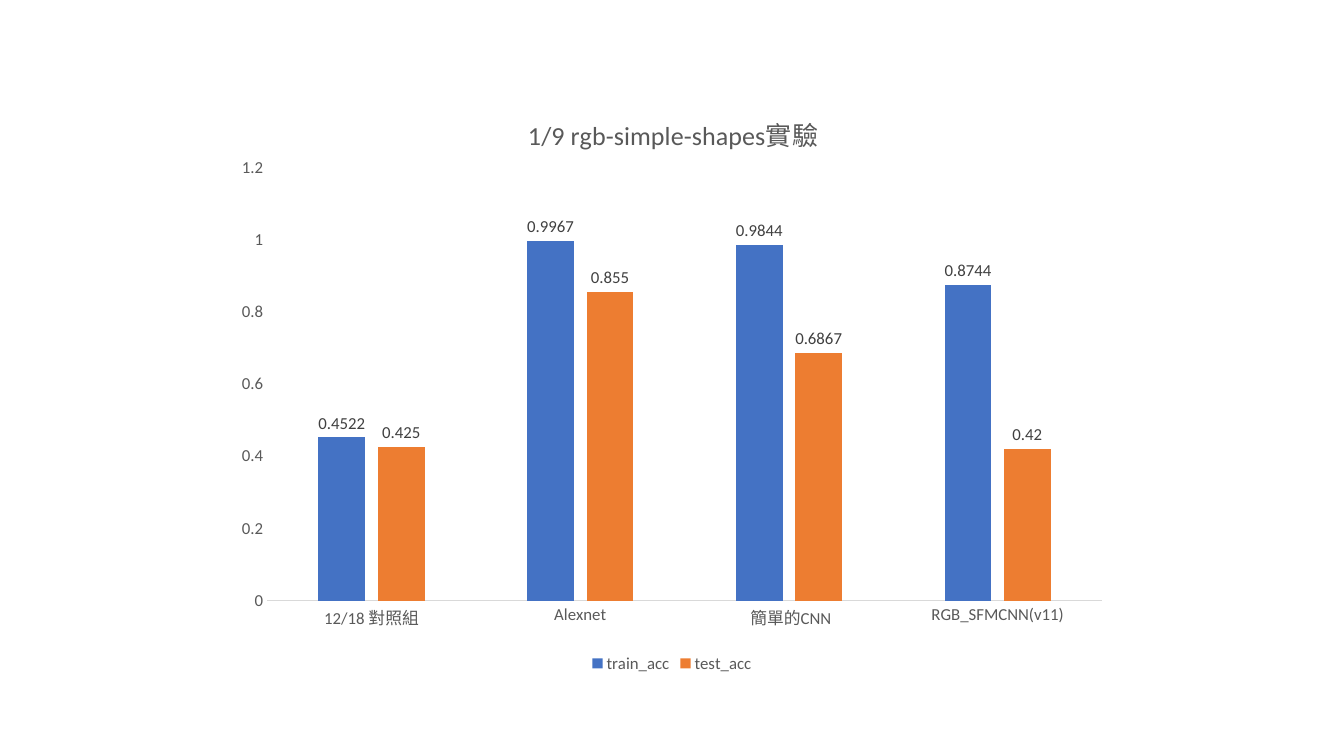
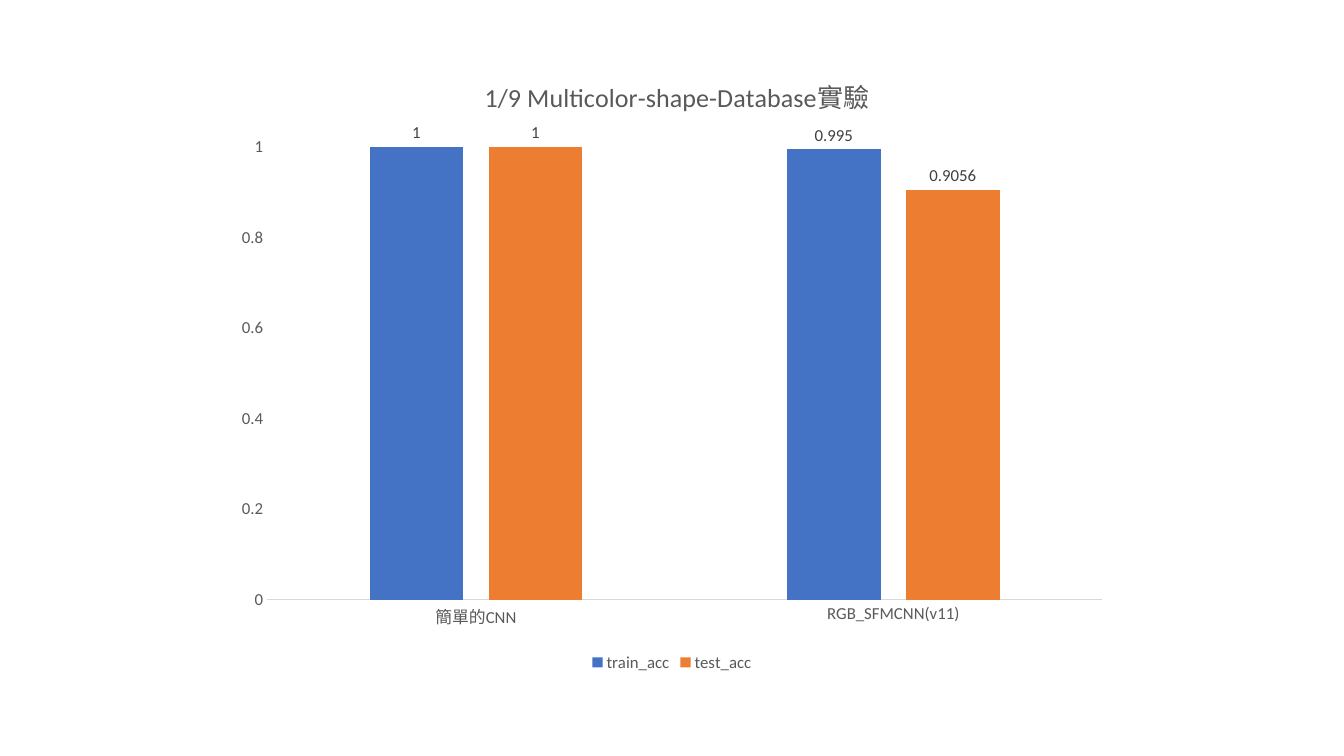
import pptx
import pptx.chart.data
import pptx.dml.color
import pptx.enum.chart
import pptx.oxml
import pptx.util
from pptx.oxml.ns import nsdecls

Inches = pptx.util.Inches
Pt = pptx.util.Pt
RGBColor = pptx.dml.color.RGBColor
enum = pptx.enum.chart

BLUE = RGBColor(0x44, 0x72, 0xC4)
ORANGE = RGBColor(0xED, 0x7D, 0x31)
GREY = RGBColor(0x59, 0x59, 0x59)
DARK = RGBColor(0x40, 0x40, 0x40)
PALE = RGBColor(0xD9, 0xD9, 0xD9)
FACE = "Calibri"

SLIDES = [
    {
        "title": "1/9 rgb-simple-shapes實驗",
        "box": (2.22, 0.79, 8.89, 5.93),
        "head": (2.97, 0.27),
        "plot": (0.43, 0.87, 8.28, 4.3),
        "top": None,
        "cats": ["12/18 對照組", "Alexnet", " 簡單的CNN", "RGB_SFMCNN(v11)"],
        "train": [0.4522, 0.9967, 0.9844, 0.8744],
        "test": [0.425, 0.855, 0.6867, 0.42],
    },
    {
        "title": "1/9 Multicolor-shape-Database實驗",
        "box": (2.22, 0.58, 8.89, 6.13),
        "head": (2.54, 0.11),
        "plot": (0.43, 0.79, 8.28, 4.58),
        "top": 1.02,
        "cats": ["簡單的CNN", "RGB_SFMCNN(v11)"],
        "train": [1, 0.995],
        "test": [1, 0.9056],
    },
]


def style(font, size=12, color=GREY):
    font.name = FACE
    font.size = Pt(size)
    font.bold = False
    font.color.rgb = color


def place(item, spot, box, inner=False):
    for old in item.findall(pptx.oxml.ns.qn("c:layout")):
        item.remove(old)
    target = '<c:layoutTarget val="inner"/>' if inner else ""
    modes = "".join(f'<c:{key}Mode val="edge"/>' for key in "xy")
    sizes = (box[2], box[3]) * 2
    marks = "".join(
        f'<c:{key} val="{length / size:.4f}"/>'
        for key, length, size in zip("xywh", spot, sizes)
    )
    layout = pptx.oxml.parse_xml(
        f'<c:layout {nsdecls("c")}><c:manualLayout>{target}{modes}{marks}'
        "</c:manualLayout></c:layout>"
    )
    item.insert(0 if inner else 1, layout)


def set_head(chart, data):
    chart.has_title = True
    title = chart.chart_title
    title.include_in_layout = False
    para = title.text_frame.paragraphs[0]
    para.text = data["title"]
    style(para.font, 18.6)
    place(title._element, data["head"], data["box"])


def set_axes(chart, top):
    for axis in (chart.category_axis, chart.value_axis):
        axis.has_major_gridlines = False
        axis.major_tick_mark = enum.XL_TICK_MARK.NONE
        axis.minor_tick_mark = enum.XL_TICK_MARK.NONE
        style(axis.tick_labels.font)
    line = chart.category_axis.format.line
    line.color.rgb = PALE
    line.width = Pt(0.75)
    chart.value_axis.format.line.fill.background()
    if top:
        chart.value_axis.minimum_scale = 0
        chart.value_axis.maximum_scale = top


def set_bars(chart):
    plot = chart.plots[0]
    plot.gap_width = 219
    plot.overlap = -27
    plot.vary_by_categories = False
    for bars, color in zip(plot.series, (BLUE, ORANGE)):
        bars.format.fill.solid()
        bars.format.fill.fore_color.rgb = color
        bars.invert_if_negative = False
        labels = bars.data_labels
        labels.show_value = True
        labels.position = enum.XL_LABEL_POSITION.OUTSIDE_END
        style(labels.font, color=DARK)


def add_slide(deck, data):
    slide = deck.slides.add_slide(deck.slide_layouts[6])
    table = pptx.chart.data.CategoryChartData()
    table.categories = data["cats"]
    for name in ("train", "test"):
        table.add_series(f"{name}_acc", data[name])
    box = [Inches(side) for side in data["box"]]
    kind = enum.XL_CHART_TYPE.COLUMN_CLUSTERED
    chart = slide.shapes.add_chart(kind, *box, table).chart
    chart.font.name = FACE
    chart.font.size = Pt(10)
    set_head(chart, data)
    set_axes(chart, data["top"])
    set_bars(chart)
    chart.has_legend = True
    chart.legend.position = enum.XL_LEGEND_POSITION.BOTTOM
    chart.legend.include_in_layout = False
    style(chart.legend.font)
    area = chart._chartSpace.chart.plotArea
    place(area, data["plot"], data["box"], inner=True)


def main():
    deck = pptx.Presentation()
    deck.slide_width = Inches(13.33)
    deck.slide_height = Inches(7.5)
    for data in SLIDES:
        add_slide(deck, data)
    deck.save("out.pptx")


if __name__ == "__main__":
    main()
